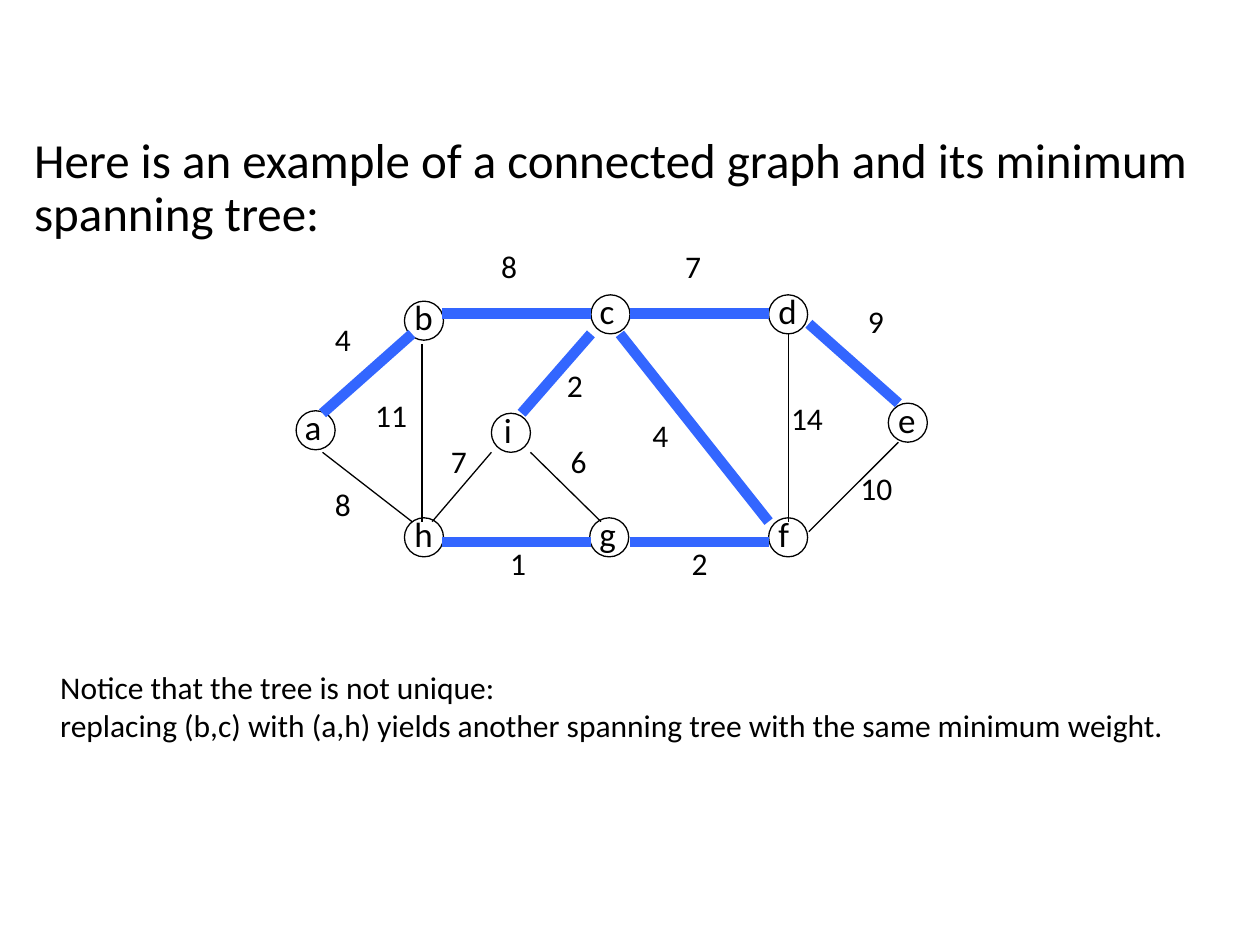
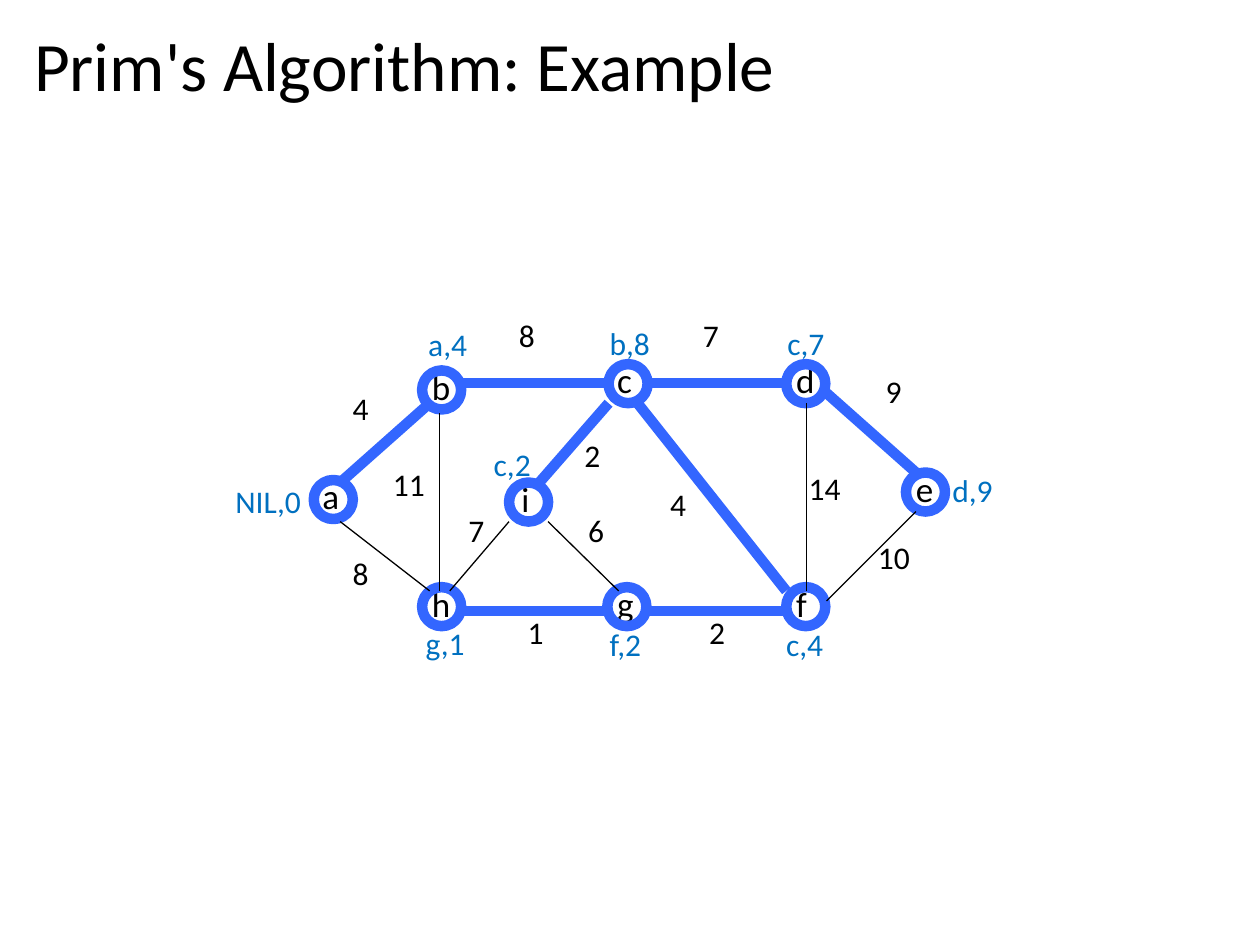
"""Build two slides on minimum spanning trees and Prim's algorithm."""
from lxml import etree
from pptx import Presentation
from pptx.dml.color import RGBColor
from pptx.enum import shapes, text
from pptx.oxml.ns import qn
from pptx.util import Inches, Pt

COLORS = {"ink": "000000", "tree": "3366FF", "key": "0070C0", "paper": "FFFFFF"}
WIDTHS = {"ink": 0.75, "tree": 6}
DIAMETER = 0.31

NODES = {
    "a": (2.35, 3.26, -0.03, 0.32),
    "b": (3.21, 2.39, -0.02, 0.34),
    "h": (3.21, 4.11, -0.02, 0.34),
    "c": (4.69, 2.34, -0.03, 0.32),
    "d": (6.1, 2.34, -0.02, 0.34),
    "e": (7.05, 3.2, -0.02, 0.32),
    "f": (6.1, 4.11, -0.02, 0.29),
    "g": (4.68, 4.11, -0.02, 0.34),
    "i": (3.9, 3.28, 0, 0.28),
}
EDGES = [
    (2.56, 3.28, 3.27, 2.65, "tree"),
    (2.56, 3.59, 3.27, 4.14, "ink"),
    (3.35, 2.73, 3.35, 4.14, "ink"),
    (3.51, 2.49, 4.69, 2.49, "tree"),
    (3.51, 4.3, 4.69, 4.3, "tree"),
    (5, 4.3, 6.1, 4.3, "tree"),
    (4.92, 2.65, 6.1, 4.14, "tree"),
    (5, 2.49, 6.1, 2.49, "tree"),
    (6.26, 2.65, 6.26, 4.14, "ink"),
    (6.42, 2.57, 7.13, 3.2, "tree"),
    (6.42, 4.22, 7.13, 3.51, "ink"),
    (4.21, 3.59, 4.77, 4.14, "ink"),
    (3.43, 4.14, 3.9, 3.59, "ink"),
    (4.14, 3.28, 4.69, 2.65, "tree"),
]
WEIGHTS = [
    ("4", 2.56, 2.49), ("8", 3.88, 1.91), ("7", 5.34, 1.91), ("9", 6.79, 2.35),
    ("10", 6.73, 3.67), ("14", 6.18, 3.12), ("4", 5.08, 3.25), ("2", 4.4, 2.86),
    ("2", 5.39, 4.27), ("6", 4.43, 3.46), ("1", 3.95, 4.27), ("7", 3.48, 3.46),
    ("11", 2.88, 3.09), ("8", 2.56, 3.8),
]
KEYS = [
    ("a,4", 3.3, 2.53, 0.51), ("g,1", 3.28, 4.9, 0.52), ("b,8", 4.74, 2.52, 0.53),
    ("c,7", 6.15, 2.52, 0.5), ("f,2", 4.74, 4.91, 0.45), ("c,4", 6.14, 4.91, 0.5),
    ("d,9", 7.46, 3.69, 0.53), ("NIL,0", 1.77, 3.78, 0.73), ("c,2", 3.82, 3.48, 0.5),
]


def write(box, lines, size, color="ink", spacing=1.0, anchor="TOP", wrap=False):
    frame = box.text_frame
    frame_format = {
        "word_wrap": wrap,
        "auto_size": text.MSO_AUTO_SIZE.NONE,
        "vertical_anchor": getattr(text.MSO_ANCHOR, anchor),
    }
    for name, value in frame_format.items():
        setattr(frame, name, value)
    para_format = {
        "alignment": text.PP_ALIGN.LEFT,
        "line_spacing": spacing,
        "space_before": Pt(0),
    }
    for index, line in enumerate(lines):
        para = frame.paragraphs[0] if index == 0 else frame.add_paragraph()
        for name, value in para_format.items():
            setattr(para, name, value)
        span = para.add_run()
        span.text = line
        for name, value in {"name": "Calibri", "size": Pt(size)}.items():
            setattr(span.font, name, value)
        span.font.color.rgb = RGBColor.from_string(COLORS[color])


def add_label(parent, lines, place, size, color="ink"):
    box = parent.shapes.add_textbox(*map(Inches, place))
    write(box, lines, size, color)


deck = Presentation()
deck.slide_width, deck.slide_height = Inches(10), Inches(7.5)
content_layout, title_layout = deck.slide_layouts[1], deck.slide_layouts[5]
fill = deck.slide_master.background.fill
fill.solid()
fill.fore_color.rgb = RGBColor.from_string(COLORS["paper"])

example_page = deck.slides.add_slide(content_layout)
empty_title = example_page.shapes.title.element
empty_title.getparent().remove(empty_title)
intro = example_page.placeholders[1]

prim_page = deck.slides.add_slide(title_layout)
title = prim_page.shapes.title

for box, place in [(intro, (0.17, 1.03, 9.62, 5.73)), (title, (0.17, 0.18, 9.62, 0.74))]:
    for name, value in zip(("left", "top", "width", "height"), place):
        setattr(box, name, Inches(value))

intro_props = intro.text_frame.paragraphs[0]._p.get_or_add_pPr()
for name in ("marL", "indent"):
    intro_props.set(name, "0")
etree.SubElement(intro_props, qn("a:buNone"))
write(intro, ["Here is an example of a connected graph and its minimum spanning tree:"],
      28, spacing=0.9, wrap=True)
write(title, ["Prim's Algorithm: Example"], 39.6, spacing=0.9, anchor="MIDDLE", wrap=True)

for page, right, down, ring in [(example_page, 0, 0, "ink"), (prim_page, 0.14, 0.55, "tree")]:
    graph = page.shapes.add_group_shape()
    for node, (left, top, shift, width) in NODES.items():
        x, y = left + right, top + down
        add_label(graph, [node], (x + shift, y - 0.09, width, 0.43), 20)
        circle = graph.shapes.add_shape(
            shapes.MSO_SHAPE.OVAL, *map(Inches, (x, y, DIAMETER, DIAMETER)))
        circle.shadow.inherit = False
        circle.fill.background()
        circle.line.color.rgb = RGBColor.from_string(COLORS[ring])
        circle.line.width = Pt(WIDTHS[ring])
    for x1, y1, x2, y2, kind in EDGES:
        ends = (x1 + right, y1 + down, x2 + right, y2 + down)
        edge = graph.shapes.add_connector(shapes.MSO_CONNECTOR.STRAIGHT, *map(Inches, ends))
        edge.line.color.rgb = RGBColor.from_string(COLORS[kind])
        edge.line.width = Pt(WIDTHS[kind])
        etree.SubElement(edge.element.spPr, qn("a:effectLst"))
    for weight, left, top in WEIGHTS:
        width = 0.21 + 0.16 * len(weight)
        add_label(graph, [weight], (left + right, top + down, width, 0.5), 18)

add_label(example_page, [
    "Notice that the tree is not unique:",
    "replacing (b,c) with (a,h) yields another spanning tree with the same minimum weight.",
], (0.38, 5.25, 9.07, 0.71), 18)

key_group = prim_page.shapes.add_group_shape()
for key, left, top, width in KEYS:
    add_label(key_group, [key], (left, top, width, 0.4), 18, "key")

deck.save("out.pptx")
